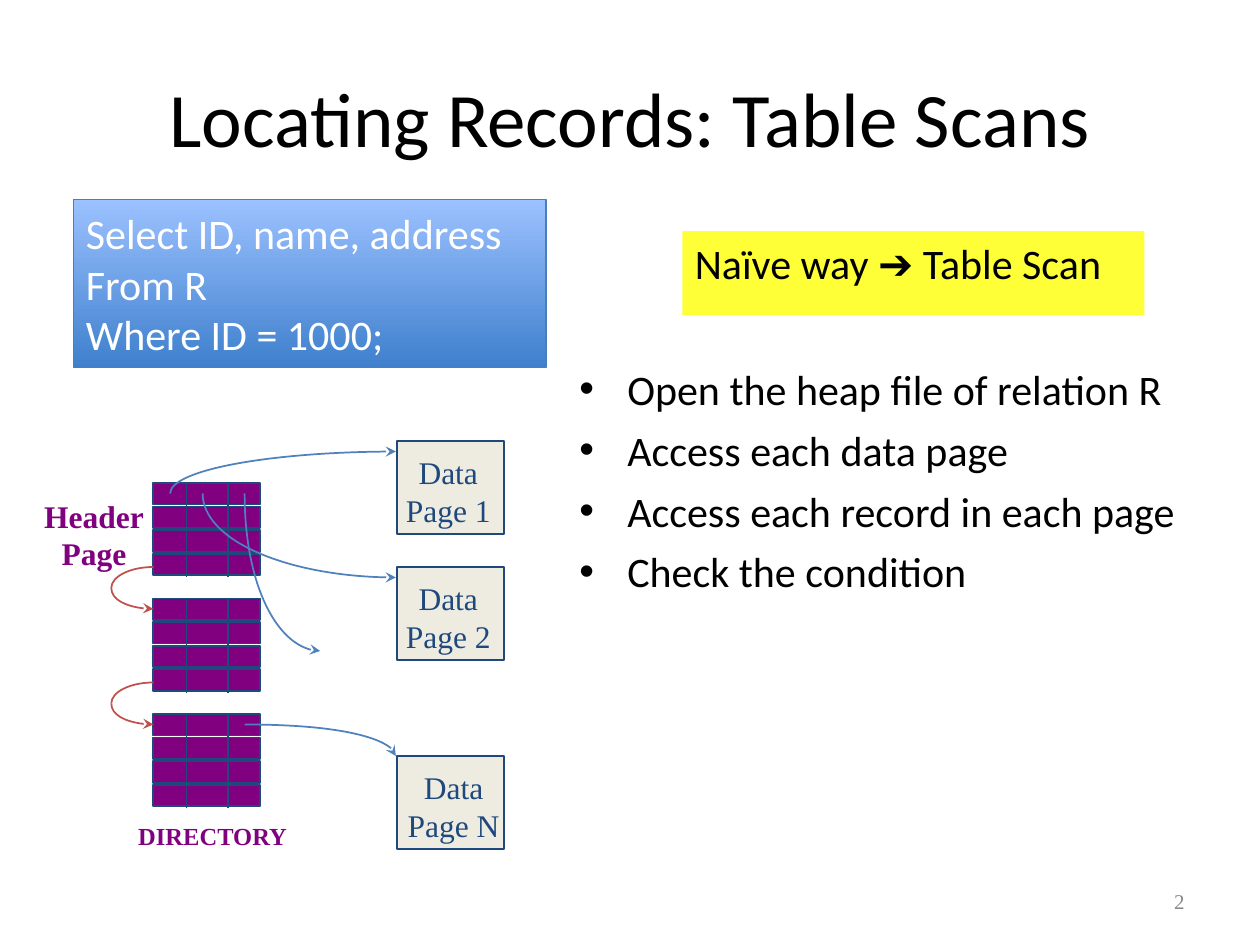
from lxml.etree import SubElement
from pptx import Presentation
from pptx.dml.color import RGBColor
from pptx.enum.shapes import MSO_CONNECTOR, MSO_SHAPE
from pptx.enum.text import MSO_ANCHOR, MSO_AUTO_SIZE, PP_ALIGN
from pptx.oxml.ns import qn
from pptx.util import Inches, Pt

COLORS = {
    "black": "000000", "white": "FFFFFF", "number": "898989",
    "highlight": "FFFF00", "query_low": "3F80CD", "query_high": "9BC1FF",
    "query_edge": "4A7EBB", "directory": "800080", "edge": "1F497D",
    "page": "EEECE1", "chain": "C0504D", "pointer": "4F81BD",
}
SANS, SERIF = "Calibri", "Times New Roman"
GRID_COLUMNS = 120
UNIT = Inches(10) / GRID_COLUMNS
CURVE = 0.55
DIRECTORY_TOPS = (46, 57, 68)
DIRECTORY_LEFT, DIRECTORY_WIDTH = 14.6, 10.2
PAGE_LEFT, PAGE_WIDTH, PAGE_HEIGHT = 37.8, 10.2, 8.9


def grid(*lengths):
    return [round(length * UNIT) for length in lengths]


def color(name):
    return RGBColor.from_string(COLORS[name])


def style_line(line, name, width=1):
    line.color.rgb = color(name)
    line.width = Pt(width)


def write(shape, text, size, name, font=SANS, bold=False,
          align=PP_ALIGN.LEFT, anchor=MSO_ANCHOR.TOP, wrap=True):
    frame = shape.text_frame
    frame.text = text
    frame.word_wrap = wrap
    frame.auto_size = MSO_AUTO_SIZE.NONE if wrap else MSO_AUTO_SIZE.SHAPE_TO_FIT_TEXT
    frame.vertical_anchor = anchor
    for paragraph in frame.paragraphs:
        paragraph.alignment = align
        for run in paragraph.runs:
            run.font.size = Pt(size)
            run.font.name = font
            run.font.bold = bold
            run.font.color.rgb = color(name)
    return frame


def add_box(slide, place, fill=None, edge=None, width=1):
    box = slide.shapes.add_shape(MSO_SHAPE.RECTANGLE, *grid(*place))
    box.shadow.inherit = False
    if fill:
        box.fill.solid()
        box.fill.fore_color.rgb = color(fill)
    if edge:
        style_line(box.line, edge, width)
    else:
        box.line.fill.background()
    return box


def add_label(slide, place, text, size, name, **style):
    label = slide.shapes.add_textbox(*grid(*place))
    return write(label, text, size, name, **style)


def add_centred_label(slide, place, text, size, name, bold=False):
    add_label(slide, place, text, size, name, font=SERIF, bold=bold,
              align=PP_ALIGN.CENTER, wrap=False)


def add_query(slide):
    query = add_box(slide, (7, 19, 45, 16), edge="query_edge", width=0.75)
    query.fill.gradient()
    query.fill.gradient_angle = 90
    for stop, name in zip(query.fill.gradient_stops, ("query_low", "query_high")):
        stop.color.rgb = color(name)
    write(query, "Select ID, name, address\nFrom R\nWhere ID = 1000;", 24,
          "white", anchor=MSO_ANCHOR.MIDDLE)


def add_method(slide):
    method = add_box(slide, (65, 22, 44, 8), fill="highlight")
    tint = method.fill._xPr.find(".//" + qn("a:srgbClr"))
    SubElement(tint, qn("a:alpha"), val="78000")
    paragraph = method.text_frame.paragraphs[0]
    paragraph.alignment = PP_ALIGN.LEFT
    method.text_frame.vertical_anchor = MSO_ANCHOR.TOP
    for text, font in (("Naïve way ", SANS), ("➔", "Arial"), (" Table Scan", SANS)):
        run = paragraph.add_run()
        run.text = text
        run.font.name = font
        run.font.size = Pt(24)
        run.font.color.rgb = color("black")


def add_directory_page(slide, top):
    for row in range(4):
        add_box(slide, (DIRECTORY_LEFT, top + row * 2.25, DIRECTORY_WIDTH, 2.05),
                "directory", "edge")
    for column in (17.75, 21.75):
        divider = slide.shapes.add_connector(
            MSO_CONNECTOR.STRAIGHT, *grid(column, top, column, top + 9))
        style_line(divider.line, "edge")
        SubElement(divider._element.spPr, qn("a:effectLst"))


def add_data_page(slide, top, number, label_left=37.4, label_width=10.6):
    add_box(slide, (PAGE_LEFT, top, PAGE_WIDTH, PAGE_HEIGHT), "page", "edge")
    add_centred_label(slide, (label_left, top + 0.6, label_width, 8.4),
                      f"Data\nPage {number}", 18, "edge")


def add_arc(slide, start, end, name, arrow=None):
    (x0, y0), (x1, y1) = start, end
    bend = [(x0, y0 + CURVE * (y1 - y0)), (x1 - CURVE * (x1 - x0), y1), end]
    builder = slide.shapes.build_freeform(*grid(*start))
    builder.add_line_segments([grid(*point) for point in bend], close=False)
    arc = builder.convert_to_shape()
    arc.shadow.inherit = False
    arc.fill.background()
    style_line(arc.line, name)
    outline = arc._element.find(".//" + qn("a:path"))
    curve = SubElement(outline, qn("a:cubicBezTo"))
    for segment in outline.findall(qn("a:lnTo")):
        curve.append(segment[0])
        outline.remove(segment)
    if arrow:
        SubElement(arc.line._get_or_add_ln(), qn(f"a:{arrow}"), type="stealth")


def add_steps(slide, place, steps):
    frame = add_label(slide, place, "\n".join(steps), 24, "black")
    for index, paragraph in enumerate(frame.paragraphs):
        properties = paragraph._p.get_or_add_pPr()
        properties.set("marL", str(Inches(0.38)))
        properties.set("indent", str(-Inches(0.38)))
        SubElement(properties, qn("a:buFont"), typeface="Arial")
        SubElement(properties, qn("a:buChar"), char="•")
        if index:
            paragraph.space_before = Pt(6)


def main():
    deck = Presentation()
    deck.slide_width, deck.slide_height = Inches(10), Inches(7.5)
    slide = deck.slides.add_slide(deck.slide_layouts[5])

    title = slide.shapes.title
    title.left, title.top, title.width, title.height = grid(6, 3.6, 108, 15)
    write(title, "Locating Records: Table Scans", 44, "black",
          align=PP_ALIGN.CENTER, anchor=MSO_ANCHOR.MIDDLE)

    add_method(slide)
    add_label(slide, (86, 83.4, 28, 4.8), "2", 12, "number", font=SERIF,
              align=PP_ALIGN.RIGHT, anchor=MSO_ANCHOR.MIDDLE)
    add_query(slide)

    for top in DIRECTORY_TOPS:
        add_directory_page(slide, top)
    add_data_page(slide, 42, 1)
    add_data_page(slide, 54, 2)
    add_data_page(slide, 72, "N", 37.6, 11.2)
    add_centred_label(slide, (3, 46.7, 11.9, 8.4), "Header\nPage", 18, "directory", True)
    add_centred_label(slide, (11.9, 77.6, 16.7, 4), "DIRECTORY", 14, "directory", True)

    for top in DIRECTORY_TOPS[:-1]:
        turn = (10.6, top + 10)
        add_arc(slide, turn, (DIRECTORY_LEFT, top + 8), "chain")
        add_arc(slide, turn, (DIRECTORY_LEFT, top + 12), "chain", "tailEnd")
    for start, end, arrow in (
        ((16.2, 47), (37.7, 43), "tailEnd"),
        ((19.3, 47), (37.7, 55), "tailEnd"),
        ((23.3, 47), (30.5, 62), "tailEnd"),
        ((37.7, 72), (23.3, 69), "headEnd"),
    ):
        add_arc(slide, start, end, "pointer", arrow)

    add_steps(slide, (54, 34, 62, 25), (
        "Open the heap file of relation R",
        "Access each data page",
        "Access each record in each page",
        "Check the condition",
    ))
    deck.save("out.pptx")


if __name__ == "__main__":
    main()
